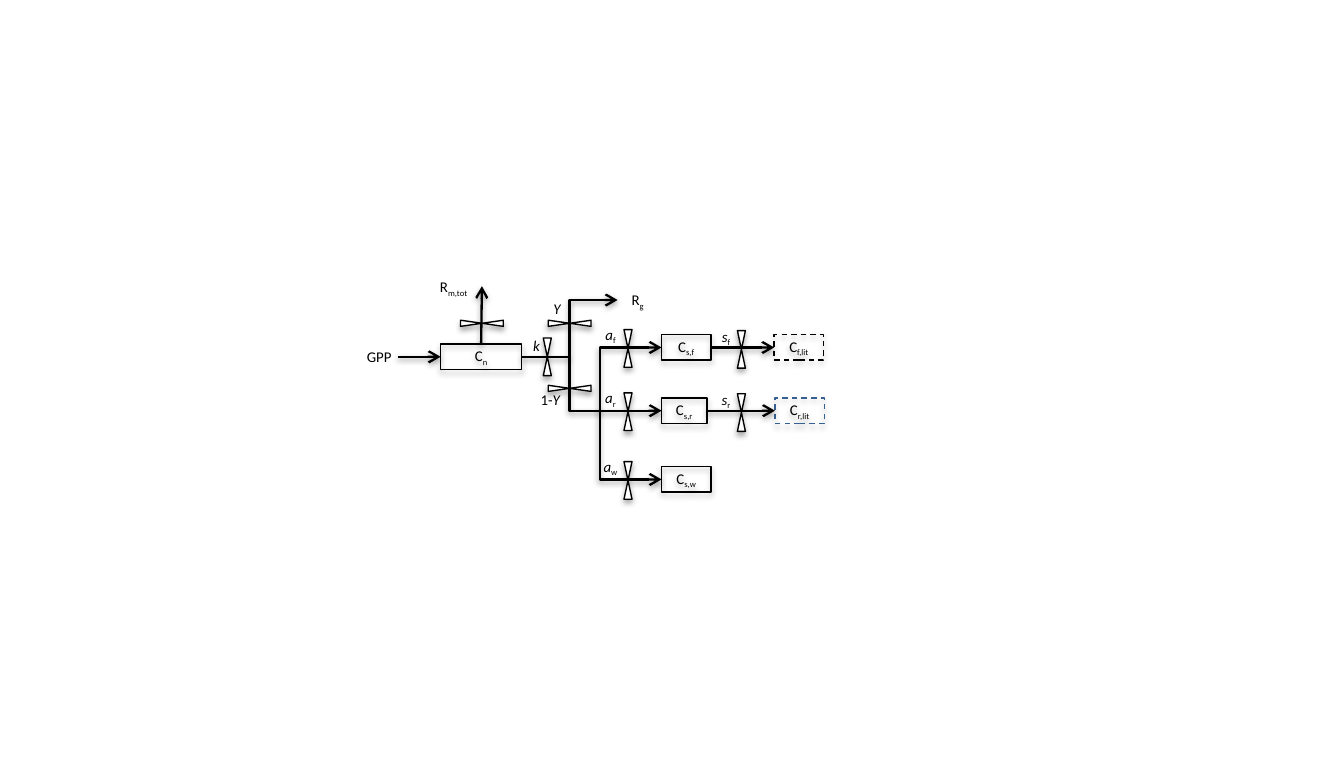
from lxml import etree
from pptx import Presentation
from pptx.dml.color import RGBColor
from pptx.enum import dml, shapes, text
from pptx.oxml import ns
from pptx.util import Pt

BLACK = RGBColor(0x00, 0x00, 0x00)
WHITE = RGBColor(0xFF, 0xFF, 0xFF)
BLUE = RGBColor(0x37, 0x60, 0x92)

FLOW_Y = 192
ROWS = {"f": 187, "r": 221, "w": 258}
SPLIT_X = 306.4
BRANCH_X = 322.6
POOL_X = 355.8
POOL_HEIGHT = 13.7
TOP, LEFT, RIGHT = 0, 1, 3


def child(parent, tag, **attributes):
    element = etree.SubElement(parent, ns.qn(tag))
    for name, value in attributes.items():
        element.set(name, str(value))
    return element


def add_shadow(effects, distance, opacity):
    """Put a soft downward shadow in an effect list."""
    shadow = child(effects, "a:outerShdw", blurRad=Pt(3.1), dist=Pt(distance),
                   dir=90 * 60000, rotWithShape=0)
    color = child(shadow, "a:srgbClr", val=BLACK)
    child(color, "a:alpha", val=opacity * 1000)


def write(box, letter, prefix="", sub="", italic=False):
    """Write a symbol with an upright prefix and an upright subscript."""
    frame = box.text_frame
    frame.margin_left = frame.margin_right = 0
    frame.margin_top = frame.margin_bottom = 0
    frame.word_wrap = True
    frame.vertical_anchor = text.MSO_ANCHOR.MIDDLE
    para = frame.paragraphs[0]
    para.alignment = text.PP_ALIGN.CENTER
    for words, slanted in ((prefix, False), (letter, italic), (sub, False)):
        if words:
            span = para.add_run()
            span.text = words
            span.font.name = "Calibri"
            span.font.size = Pt(8)
            span.font.italic = slanted
            span.font.color.rgb = BLACK
    if sub:
        span._r.get_or_add_rPr().set("baseline", "-25000")


def add_label(page, letter, center_x, center_y, width=22, **style):
    height = 12
    box = page.shapes.add_textbox(Pt(center_x - width / 2), Pt(center_y - height / 2),
                                  Pt(width), Pt(height))
    write(box, letter, **style)


def add_outlined(page, kind, center_x, center_y, width, height, color=BLACK):
    shape = page.shapes.add_shape(kind, Pt(center_x - width / 2),
                                  Pt(center_y - height / 2), Pt(width), Pt(height))
    shape.line.color.rgb = color
    shape.line.width = Pt(0.75)
    shape.shadow.inherit = False
    add_shadow(shape._element.spPr.find(ns.qn("a:effectLst")), 1.8, 35)
    return shape


def add_pool(page, sub, left, center_y, width, color=BLACK, dashed=False):
    """Draw a carbon pool as a box named C with a subscript."""
    pool = add_outlined(page, shapes.MSO_SHAPE.RECTANGLE, left + width / 2, center_y,
                        width, POOL_HEIGHT, color)
    pool.fill.background()
    if dashed:
        pool.line.dash_style = dml.MSO_LINE.DASH
    write(pool, "C", sub=sub)
    return pool


def add_valve(page, center_x, center_y, width=4.3, height=20.2, rotation=0):
    valve = add_outlined(page, shapes.MSO_SHAPE.FLOWCHART_COLLATE, center_x, center_y,
                         width, height)
    valve.fill.solid()
    valve.fill.fore_color.rgb = WHITE
    valve.rotation = rotation


def add_arrow(page, start, end, bend=None):
    """Draw an arrow; bend is the share of the width where an elbow turns."""
    kind = shapes.MSO_CONNECTOR.STRAIGHT if bend is None else shapes.MSO_CONNECTOR.ELBOW
    arrow = page.shapes.add_connector(kind, *(Pt(value) for value in (*start, *end)))
    arrow.line.color.rgb = BLACK
    arrow.line.width = Pt(1.25)
    properties = arrow._element.spPr
    child(properties.find(ns.qn("a:ln")), "a:tailEnd", type="arrow")
    add_shadow(child(properties, "a:effectLst"), 1.6, 38)
    if bend is not None:
        guides = properties.find(ns.qn("a:prstGeom")).find(ns.qn("a:avLst"))
        child(guides, "a:gd", name="adj1", fmla=f"val {round(bend * 100000)}")
    return arrow


def main():
    deck = Presentation()
    deck.slide_width, deck.slide_height = Pt(722.88), Pt(411.12)
    page = deck.slides.add_slide(deck.slide_layouts[6])

    storage = add_pool(page, "n", 237, FLOW_Y, 43.6)
    add_arrow(page, (214, FLOW_Y), (237, FLOW_Y)).end_connect(storage, LEFT)
    add_arrow(page, (258.8, 185), (259.2, 154)).begin_connect(storage, TOP)

    add_arrow(page, (280.6, FLOW_Y), (332.2, 161.5), bend=0.5)
    add_arrow(page, (SPLIT_X, FLOW_Y), (POOL_X, ROWS["r"]), bend=0)
    for organ in "fw":
        add_arrow(page, (BRANCH_X, ROWS["r"]), (POOL_X, ROWS[organ]), bend=0)

    pools = {organ: add_pool(page, f"s,{organ}", POOL_X, y, 24.5 if organ == "r" else 26.6)
             for organ, y in ROWS.items()}
    for organ, left, color in (("f", 416.4, BLACK), ("r", 416.8, BLUE)):
        y = ROWS[organ]
        litter = add_pool(page, f"{organ},lit", left, y, 26.6, color, dashed=True)
        turnover = add_arrow(page, (380, y), (left, y))
        turnover.begin_connect(pools[organ], RIGHT)
        turnover.end_connect(litter, LEFT)
        add_valve(page, 398.8, y + 1)
        add_label(page, "s", 390.6, y - 5.5, sub=organ, italic=True)

    for organ, y in ROWS.items():
        add_valve(page, 337.8, y + 0.5)
        add_label(page, "a", 328.4, y - 6.5, sub=organ, italic=True)
    add_valve(page, 294.4, FLOW_Y)
    for x, y in ((259.2, 174), (SPLIT_X, 174), (SPLIT_X, 209)):
        add_valve(page, x, y, width=3.3, height=23, rotation=90)

    add_label(page, "GPP", 204, FLOW_Y, width=30)
    add_label(page, "k", 288.6, 186, italic=True)
    add_label(page, "R", 244, 155, width=34, sub="m,tot")
    add_label(page, "R", 343, 161.8, sub="g")
    add_label(page, "Y", 299.6, 166, italic=True)
    add_label(page, "Y", 296, 215, width=28, prefix="1-", italic=True)

    deck.save("out.pptx")


if __name__ == "__main__":
    main()
